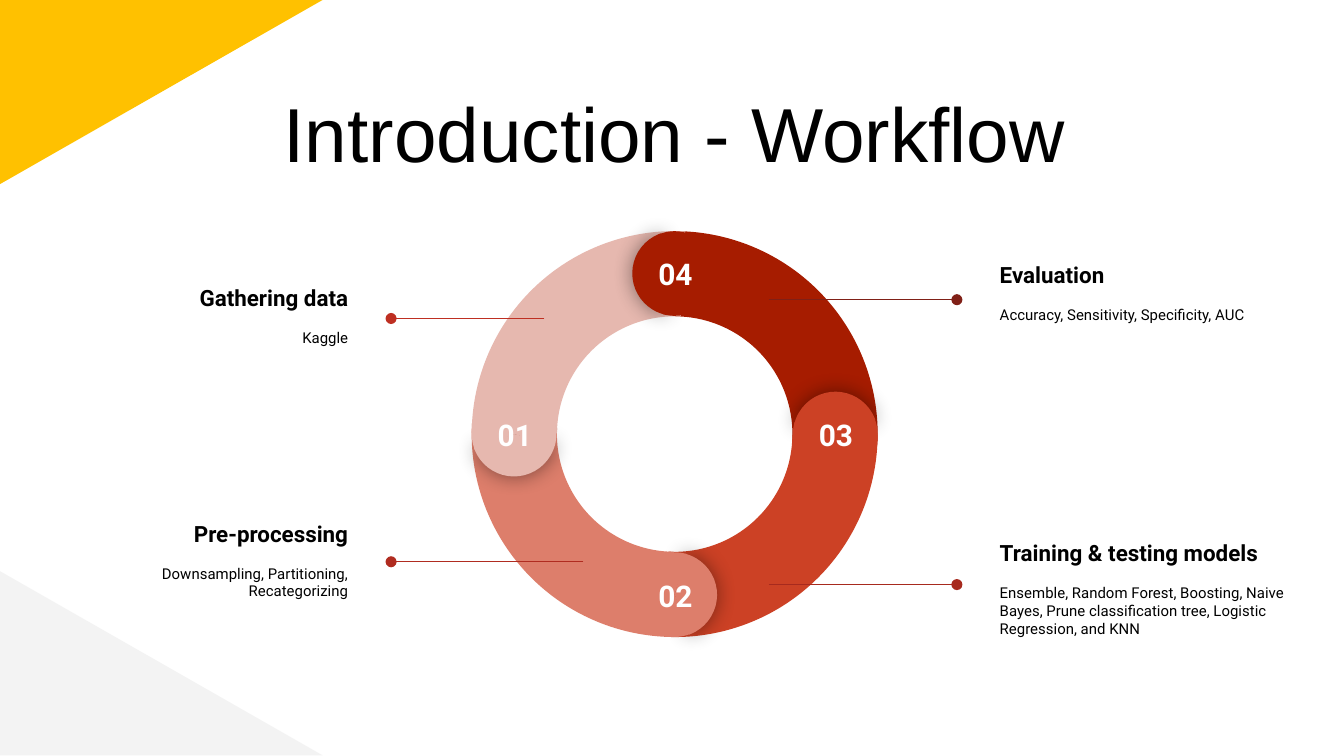
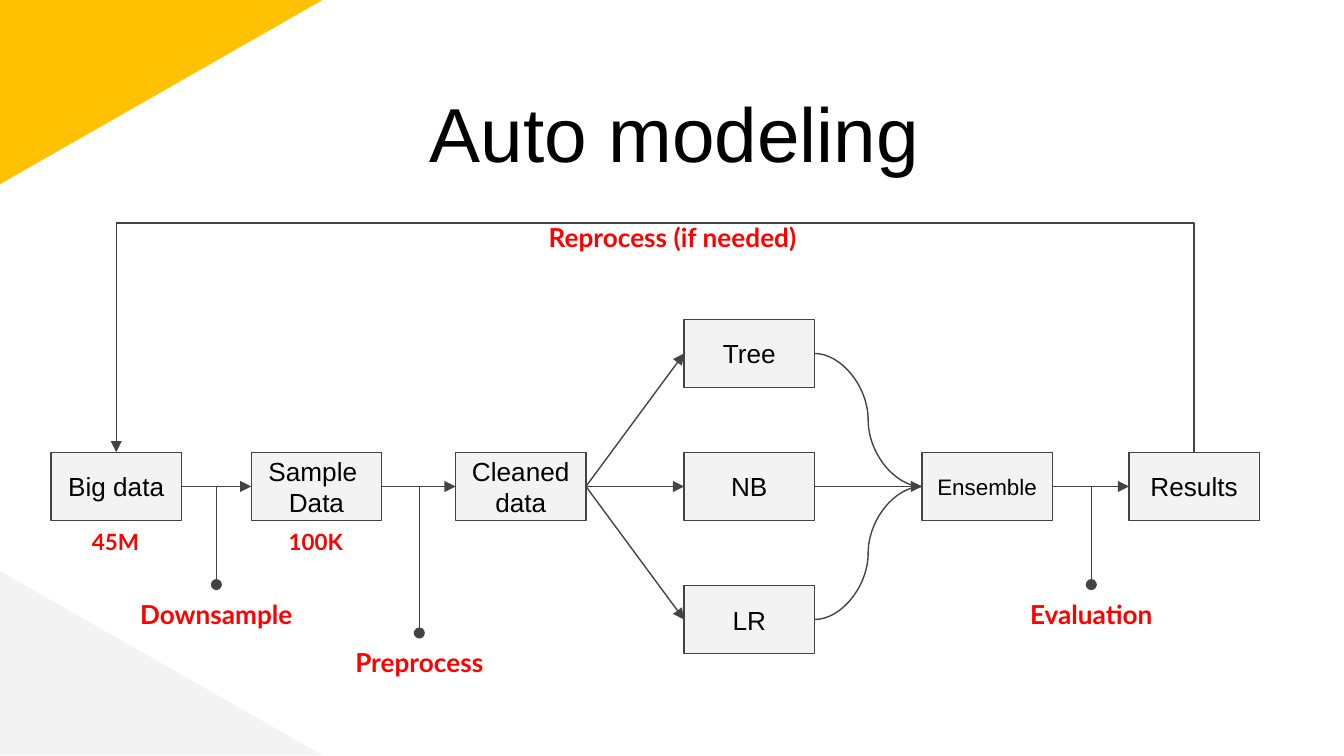
"""Two slides on a modelling project: the workflow ring and the auto modeling flow."""
from math import cos, radians, sin

from lxml import etree
from pptx import Presentation
from pptx.dml.color import RGBColor
from pptx.enum.shapes import MSO_CONNECTOR, MSO_SHAPE
from pptx.enum.text import MSO_ANCHOR, MSO_AUTO_SIZE, PP_ALIGN
from pptx.oxml.ns import qn
from pptx.util import Inches, Pt

LEFT, MID, RIGHT = PP_ALIGN.LEFT, PP_ALIGN.CENTER, PP_ALIGN.RIGHT
TOP, CENTRE = MSO_ANCHOR.TOP, MSO_ANCHOR.MIDDLE
FIXED = MSO_AUTO_SIZE.NONE
RECT, CORNER = MSO_SHAPE.RECTANGLE, MSO_SHAPE.RIGHT_TRIANGLE
ARC, PIE = MSO_SHAPE.BLOCK_ARC, MSO_SHAPE.PIE
STRAIGHT, CURVE = MSO_CONNECTOR.STRAIGHT, MSO_CONNECTOR.CURVE

COLORS = {
    "gold": "FFC100", "pale": "F3F3F3", "ink": "000000", "white": "FFFFFF",
    "gray": "434343", "red": "FF0000",
    "step1": "E6B8AF", "step2": "DD7E6B", "step3": "CC4125", "step4": "A61C00",
    "line1": "BE2F22", "line2": "B02C20", "line3": "A72A1E", "line4": "802017",
}

# Ring: centre, outer size and size of the round caps
RING_X, RING_Y, RING, CAP = 5.02, 3.23, 3.02, 0.63
# Flow boxes: size and middle of the main row
BOX_W, BOX_H, ROW = 0.97, 0.51, 3.62


def rgb(name):
    """Look up a named colour."""
    return RGBColor.from_string(COLORS[name])


def add_shape(slide, kind, x, y, w, h, fill, turn=0, adj=()):
    """Add a flat preset shape without outline."""
    shape = slide.shapes.add_shape(kind, Inches(x), Inches(y), Inches(w), Inches(h))
    shape.shadow.inherit = False
    shape.fill.solid()
    shape.fill.fore_color.rgb = rgb(fill)
    shape.line.fill.background()
    shape.rotation = turn
    for i, value in enumerate(adj):
        shape.adjustments[i] = value
    return shape


def set_font(par, size, face, color="ink", bold=False, align=MID):
    """Format one paragraph."""
    par.alignment = align
    par.font.size = Pt(size)
    par.font.name = face
    par.font.bold = bold
    par.font.color.rgb = rgb(color)


def set_frame(frame, anchor=TOP):
    """Give a text frame even margins, wrapping and a fixed size."""
    frame.word_wrap = True
    frame.auto_size = FIXED
    frame.vertical_anchor = anchor
    frame.margin_left = frame.margin_right = Inches(0.1)
    frame.margin_top = frame.margin_bottom = Inches(0.1)


def add_text(slide, text, x, y, w, h, anchor=TOP):
    """Add a text box and return its paragraphs."""
    box = slide.shapes.add_textbox(Inches(x), Inches(y), Inches(w), Inches(h))
    set_frame(box.text_frame, anchor)
    box.text_frame.text = text
    return box.text_frame.paragraphs


def add_label(slide, text, x, y, w, h, size, face, color):
    """Add one bold centred line of text."""
    set_font(add_text(slide, text, x, y, w, h)[0], size, face, color, True)


def style_line(item, color, tip=None):
    """Set colour and width of a line, and the mark at its end."""
    item.line.color.rgb = rgb(color)
    item.line.width = Pt(0.75)
    if tip:
        etree.SubElement(item.get_or_add_ln(), qn("a:tailEnd")).set("type", tip)


def add_line(slide, start, end, color="gray", tip=None, kind=STRAIGHT):
    """Connect two points."""
    points = [Inches(v) for v in (*start, *end)]
    line = slide.shapes.add_connector(kind, *points)
    style_line(line, color, tip)
    etree.SubElement(line.element.spPr, qn("a:effectLst"))


def add_route(slide, points):
    """Draw an open angular arrow through the points."""
    first, *rest = [(Inches(x), Inches(y)) for x, y in points]
    pen = slide.shapes.build_freeform(*first)
    pen.add_line_segments(rest, close=False)
    route = pen.convert_to_shape()
    route.fill.background()
    style_line(route, "gray", "triangle")
    route.shadow.inherit = False


def add_glow(shape):
    """Put a soft dark shadow around a shape."""
    effects = shape.element.spPr.find(qn("a:effectLst"))
    glow = etree.SubElement(effects, qn("a:outerShdw"), blurRad=str(Pt(11.2)),
                            dist="0", dir="0", algn="bl", rotWithShape="0")
    tint = etree.SubElement(glow, qn("a:srgbClr"), val=COLORS["ink"])
    etree.SubElement(tint, qn("a:alpha"), val="43000")


def add_slide(deck, title):
    """Add a slide with its large centred title."""
    slide = deck.slides.add_slide(deck.slide_layouts[5])
    head = slide.shapes.title
    head.left, head.top = Inches(0.59), Inches(0.54)
    head.width, head.height = Inches(8.86), Inches(0.63)
    set_frame(head.text_frame)
    head.text_frame.text = title
    set_font(head.text_frame.paragraphs[0], 41, "Arial")
    return slide


def add_corners(slide):
    """Place the corner triangles on the layout that all slides share."""
    upper = add_shape(slide, CORNER, 0, 0, 2.4, 1.37, "gold", 180)
    upper.element.spPr.find(qn("a:xfrm")).set("flipH", "1")
    lower = add_shape(slide, CORNER, 0, 4.25, 2.4, 1.37, "pale")
    tree = slide.slide_layout.shapes.element
    for shape in (lower, upper):
        tree.insert(2, shape.element)


def add_ring(slide):
    """Draw the four ring parts, their round caps and numbers."""
    turns = {4: 0, 3: 90, 2: 180, 1: 270}
    for step, turn in turns.items():
        add_shape(slide, ARC, RING_X - RING / 2, RING_Y - RING / 2, RING, RING,
                  f"step{step}", (turn + 60) % 360, (126.2, 181.8, 0.21))
    reach = (RING - CAP) / 2
    for step, turn in turns.items():
        angle = radians(turn - 90)
        x, y = RING_X + reach * cos(angle), RING_Y + reach * sin(angle)
        spot = (x - CAP / 2, y - CAP / 2, CAP, CAP, f"step{step}")
        add_glow(add_shape(slide, PIE, *spot, turn + 0.7, (61.9, 149.96)))
        add_shape(slide, PIE, *spot, (turn + 180) % 360, (40.28, 171.84))
        add_label(slide, f"{step:02}", x - 0.27, y - 0.23, 0.55, 0.29,
                  16, "Roboto", "white")


def add_note(slide, head, body, x, y, align):
    """Add a step heading with its details."""
    top, rest = add_text(slide, f"{head}\n{body}", x, y, 2.32, 1.41, CENTRE)
    set_font(top, 12, "Roboto", bold=True, align=align)
    set_font(rest, 8, "Roboto", align=align)
    rest.space_before = Pt(9.4)


def add_box(slide, text, x, mid=ROW, size=14):
    """Add a flow box centred on a height."""
    box = add_shape(slide, RECT, x, mid - BOX_H / 2, BOX_W, BOX_H, "pale")
    style_line(box, "gray")
    set_frame(box.text_frame, CENTRE)
    box.text_frame.text = text
    for par in box.text_frame.paragraphs:
        set_font(par, size, "Arial")


def draw_work(slide):
    """Fill the workflow slide."""
    add_ring(slide)
    notes = [
        ("Gathering data", "Kaggle", 0.37, 1.64, RIGHT, 4.05, 2.91, 2.37),
        ("Pre-processing", "Downsampling, Partitioning, Recategorizing",
         0.37, 3.46, RIGHT, 4.34, 2.91, 4.18),
        ("Training & testing models",
         "Ensemble, Random Forest, Boosting, Naive Bayes, Prune classification "
         "tree, Logistic Regression, and KNN", 7.34, 3.67, LEFT, 5.72, 7.12, 4.35),
        ("Evaluation", "Accuracy, Sensitivity, Specificity, AUC",
         7.34, 1.47, LEFT, 5.72, 7.12, 2.23),
    ]
    for step, (head, body, x, y, align, start, end, level) in enumerate(notes, 1):
        add_note(slide, head, body, x, y, align)
        add_line(slide, (start, level), (end, level), f"line{step}", "oval")


def draw_flow(slide):
    """Fill the auto modeling slide."""
    big, sample, clean, model, blend, result = 0.38, 1.87, 3.39, 5.09, 6.86, 8.4
    for text, x in (("Big data", big), ("Sample \nData", sample),
                    ("Cleaned data", clean), ("Results", result)):
        add_box(slide, text, x)
    add_box(slide, "Ensemble", blend, size=12)
    for start, end in ((big, sample), (sample, clean), (blend, result)):
        add_line(slide, (start + BOX_W, ROW), (end, ROW), tip="triangle")

    for i, text in enumerate(("Tree", "NB", "LR")):
        mid = ROW + (i - 1) * 0.99
        add_box(slide, text, model, mid)
        add_line(slide, (clean + BOX_W, ROW), (model, mid), tip="triangle")
        start, end = (model + BOX_W, mid), (blend, ROW)
        if mid == ROW:
            add_line(slide, start, end, tip="triangle")
        else:
            add_line(slide, start, end, kind=CURVE)

    first, last, edge = big + BOX_W / 2, result + BOX_W / 2, ROW - BOX_H / 2
    add_route(slide, [(last, edge), (last, 1.66), (first, 1.66), (first, edge)])

    for text, x, y in (("Downsample", 1.61, 4.35), ("Preprocess", 3.12, 4.71),
                       ("Evaluation", 8.12, 4.35)):
        add_line(slide, (x, ROW), (x, y), tip="oval")
        add_label(slide, text, x - 1.24, y, 2.48, 0.44, 14, "Lato", "red")
    add_label(slide, "Reprocess (if needed)", 3.39, 1.55, 3.23, 0.44,
              14, "Lato", "red")
    for text, x in (("45M", big), ("100K", sample)):
        add_label(slide, text, x + 0.08, 3.83, 0.8, 0.4, 12, "Lato", "red")


def main():
    """Build and save the deck."""
    deck = Presentation()
    deck.slide_width, deck.slide_height = Inches(10), Inches(10) * 9 // 16
    work = add_slide(deck, "Introduction - Workflow")
    add_corners(work)
    draw_work(work)
    draw_flow(add_slide(deck, "Auto modeling"))
    deck.save("out.pptx")


main()
